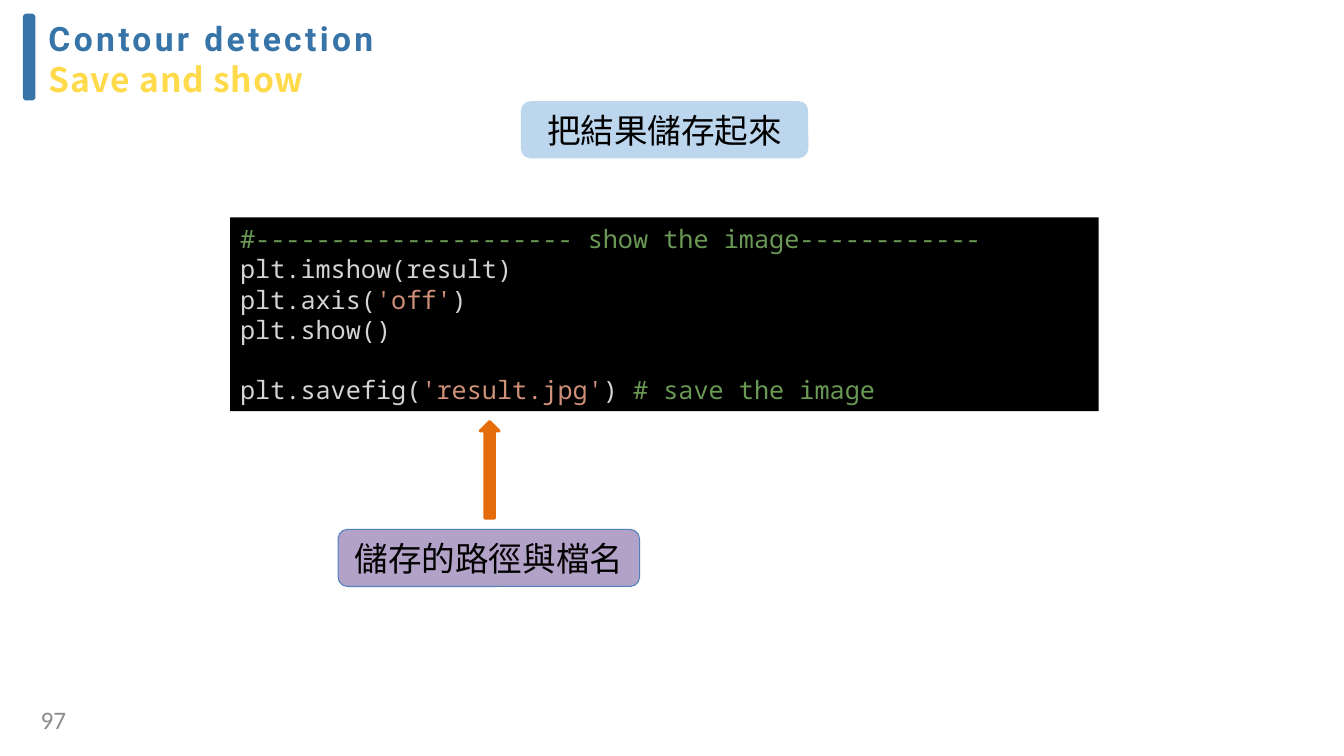
from dataclasses import dataclass
from typing import Optional

from lxml.etree import SubElement
from pptx import Presentation
from pptx.dml.color import RGBColor
from pptx.enum.shapes import MSO_SHAPE
from pptx.enum.text import MSO_ANCHOR, PP_ALIGN
from pptx.oxml.ns import qn
from pptx.util import Cm, Pt

CJK, MONO = "Noto Sans CJK SC", "Noto Sans Mono"
PLAIN, STRING, COMMENT = "D4D4D4", "CE9178", "6A9955"


@dataclass
class Block:
    kind: MSO_SHAPE
    left: float
    top: float
    width: float
    height: float
    fill: str
    line: Optional[str] = None
    weight: float = 0
    label: str = ""


def rgb(value: str) -> RGBColor:
    return RGBColor.from_string(value)


def add_text(p, text: str, *, size: float, font: str, color: str,
             bold: bool = False, spacing: float = 0) -> None:
    r = p.add_run()
    r.text = text
    r.font.size = Pt(size)
    r.font.name = font
    r.font.bold = bold
    r.font.color.rgb = rgb(color)
    rPr = r.font._element
    SubElement(rPr, qn("a:ea")).set("typeface", font)
    if spacing:
        rPr.set("spc", str(round(spacing * 100)))


def set_insets(tf, top: float = 0) -> None:
    tf.margin_left = tf.margin_right = tf.margin_bottom = 0
    tf.margin_top = Cm(top)


def add_block(slide, block: Block):
    sp = slide.shapes.add_shape(block.kind, Cm(block.left), Cm(block.top),
                                Cm(block.width), Cm(block.height))
    sp.shadow.inherit = False
    sp.fill.solid()
    sp.fill.fore_color.rgb = rgb(block.fill)
    if block.line:
        sp.line.color.rgb = rgb(block.line)
        sp.line.width = Pt(block.weight)
    else:
        sp.line.fill.background()
    if block.label:
        p = sp.text_frame.paragraphs[0]
        p.alignment = PP_ALIGN.CENTER
        add_text(p, block.label, size=24, font=CJK, color="000000")
    return sp


def add_title(slide) -> None:
    sp = slide.shapes.title
    sp.left, sp.top, sp.width, sp.height = Cm(1.22), Cm(0.4), Cm(9.5), Cm(2.1)
    tf = sp.text_frame
    tf.vertical_anchor = MSO_ANCHOR.TOP
    set_insets(tf, top=0.06)
    heading, subheading = tf.paragraphs[0], tf.add_paragraph()
    for p in (heading, subheading):
        p.alignment = PP_ALIGN.LEFT
    add_text(heading, "Contour detection", size=24, font="Roboto",
             color="3774A7", bold=True, spacing=2.4)
    add_text(subheading, "Save and show", size=24, font=CJK,
             color="FFDA4A", bold=True, spacing=0.6)


def add_code(slide, block: Block, lines: list) -> None:
    tf = add_block(slide, block).text_frame
    tf.word_wrap = True
    for i, line in enumerate(lines):
        p = tf.add_paragraph() if i else tf.paragraphs[0]
        p.alignment = PP_ALIGN.LEFT
        for text, color in line:
            if text == "\n":
                p.add_line_break()
                p._p[-1].get_or_add_rPr().set("sz", "1800") if hasattr(
                    p._p[-1], "get_or_add_rPr") else SubElement(
                    p._p[-1], qn("a:rPr")).set("sz", "1800")
            else:
                add_text(p, text, size=18, font=MONO, color=color)


def add_page_number(slide, number: str) -> None:
    tf = slide.shapes.add_textbox(Cm(0.2), Cm(17.75), Cm(1.47), Cm(0.77)).text_frame
    tf.word_wrap = True
    set_insets(tf)
    p = tf.paragraphs[0]
    p.alignment = PP_ALIGN.RIGHT
    add_text(p, number, size=18, font="Calibri", color="8C8C8C")


BLOCKS = [
    # Title bar
    Block(MSO_SHAPE.ROUNDED_RECTANGLE, 0.63, 0.4, 0.21, 2.08, "3775A9", "3774A7", 3),
    # Captions and pointer
    Block(MSO_SHAPE.ROUNDED_RECTANGLE, 13.13, 2.55, 7.24, 1.44, "BCD6ED",
          label="把結果儲存起來"),
    Block(MSO_SHAPE.UP_ARROW, 12.1, 10.62, 0.48, 2.44, "E46C0A", "E46C0A", 2),
    Block(MSO_SHAPE.ROUNDED_RECTANGLE, 8.52, 13.34, 7.6, 1.44, "B3A2C7",
          "4F81BD", 0.75, "儲存的路徑與檔名"),
]
CODE_BOX = Block(MSO_SHAPE.RECTANGLE, 5.8, 5.48, 21.89, 4.88, "000000")
CODE = [
    [("#--------------------- show the image------------", COMMENT)],
    [("plt.imshow(result)", PLAIN)],
    [("plt.axis(", PLAIN), ("'off'", STRING), (")", PLAIN)],
    [("plt.show()", PLAIN)],
    [("\n", PLAIN), ("plt.savefig(", PLAIN), ("'result.jpg'", STRING),
     (") ", PLAIN), ("# save the image", COMMENT)],
]


def main() -> None:
    prs = Presentation()
    prs.slide_width, prs.slide_height = Cm(33.87), Cm(19.05)
    slide = prs.slides.add_slide(prs.slide_layouts[5])
    add_title(slide)
    for block in BLOCKS:
        add_block(slide, block)
    add_code(slide, CODE_BOX, CODE)
    add_page_number(slide, "97")
    prs.save("out.pptx")


if __name__ == "__main__":
    main()
